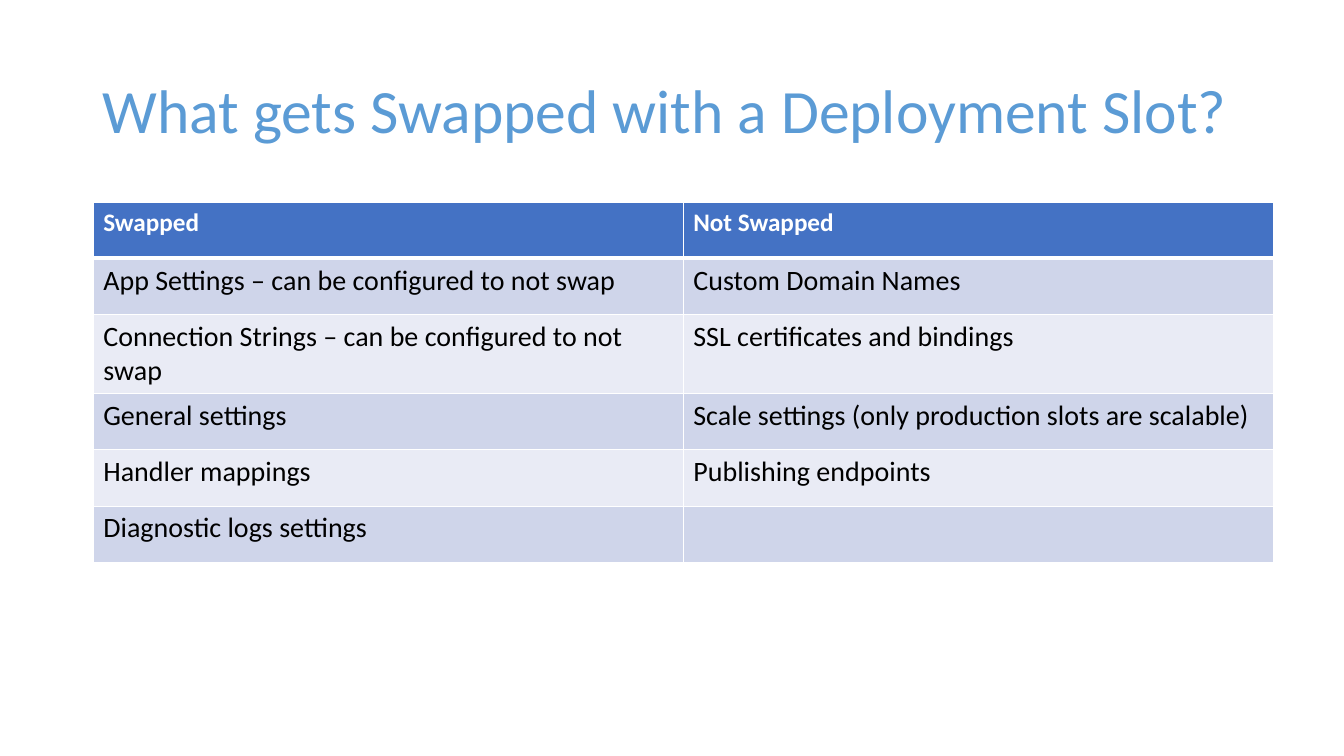
from lxml.etree import fromstring
from pptx import Presentation
from pptx.dml.color import RGBColor
from pptx.enum.text import MSO_ANCHOR, MSO_AUTO_SIZE, PP_ALIGN
from pptx.util import Cm, Pt

HUES = {"title": "5B9BD5", "head": "4472C4", "odd": "CFD5EA",
        "even": "E9EBF5", "white": "FFFFFF", "black": "000000"}
ROWS = [
    ("Swapped", "Not Swapped"),
    ("App Settings – can be configured to not swap", "Custom Domain Names"),
    ("Connection Strings – can be configured to not swap",
     "SSL certificates and bindings"),
    ("General settings", "Scale settings (only production slots are scalable)"),
    ("Handler mappings", "Publishing endpoints"),
    ("Diagnostic logs settings", ""),
]
NS = "http://schemas.openxmlformats.org/drawingml/2006/main"


def style(para, size, hue, bold=False):
    font = para.font
    font.name, font.size, font.bold = "Calibri", Pt(size), bold
    font.color.rgb = RGBColor.from_string(HUES[hue])


def border(cell, side, width):
    return fromstring(
        f'<a:ln{side} xmlns:a="{NS}" w="{Pt(width)}"><a:solidFill>'
        f'<a:srgbClr val="{HUES["white"]}"/></a:solidFill></a:ln{side}>')


deck = Presentation()
deck.slide_width, deck.slide_height = Cm(33.87), Cm(19.05)
slide = deck.slides.add_slide(deck.slide_layouts[5])

# Title
title = slide.shapes.title
title.left, title.top = Cm(2.33), Cm(1.01)
title.width, title.height = Cm(29.21), Cm(3.68)
frame = title.text_frame
frame.text = "What gets Swapped with a Deployment Slot?"
frame.auto_size = MSO_AUTO_SIZE.NONE
frame.vertical_anchor = MSO_ANCHOR.MIDDLE
para = frame.paragraphs[0]
para.alignment, para.line_spacing = PP_ALIGN.LEFT, 0.9
style(para, 44, "title")

# Table of swapped and kept settings
high = Cm(1.42)
table = slide.shapes.add_table(len(ROWS), 2, Cm(2.35), Cm(5.09),
                               Cm(29.74), high * len(ROWS)).table
for r, texts in enumerate(ROWS):
    table.rows[r].height = high
    head = r == 0
    fill = "head" if head else "odd" if r % 2 else "even"
    for c, text in enumerate(texts):
        cell = table.cell(r, c)
        cell.text = text
        style(cell.text_frame.paragraphs[0], 18 if head else 20,
              "white" if head else "black", head)
        cell.fill.solid()
        cell.fill.fore_color.rgb = RGBColor.from_string(HUES[fill])
        # White rules, thicker between header and body
        widths = {"L": 1, "R": 1, "T": 3 if r == 1 else 1, "B": 3 if head else 1}
        for i, (side, width) in enumerate(widths.items()):
            cell._tc.tcPr.insert(i, border(cell, side, width))

deck.save("out.pptx")
